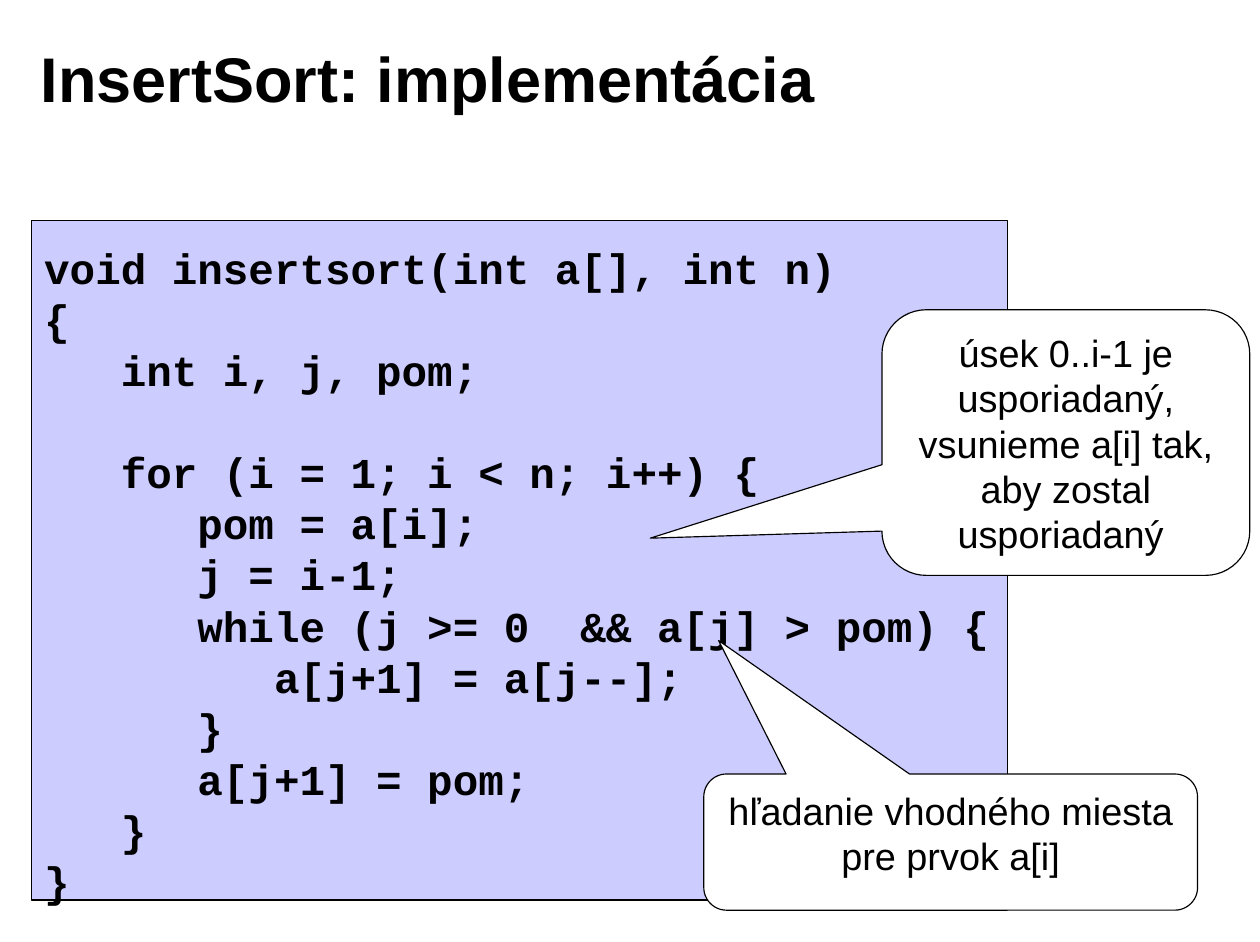
from dataclasses import dataclass

import pptx
import pptx.dml.color
import pptx.enum.shapes
import pptx.enum.text
import pptx.util
from pptx.util import Inches

BLACK = "000000"
WHITE = "FFFFFF"
LAVENDER = "CCCCFF"

CODE = """void insertsort(int a[], int n)
{
   int i, j, pom;

   for (i = 1; i < n; i++) {
      pom = a[i];
      j = i-1;
      while (j >= 0  && a[j] > pom) {
         a[j+1] = a[j--];
      }
      a[j+1] = pom;
   }
}"""


@dataclass
class Area:
    left: float
    top: float
    width: float
    height: float

    def lengths(self) -> tuple[int, ...]:
        return tuple(Inches(side) for side in (self.left, self.top, self.width, self.height))


@dataclass
class TextStyle:
    font: str
    size: int
    bold: bool = False
    align: pptx.enum.text.PP_ALIGN = pptx.enum.text.PP_ALIGN.LEFT
    anchor: pptx.enum.text.MSO_ANCHOR = pptx.enum.text.MSO_ANCHOR.TOP


@dataclass
class Callout:
    area: Area
    tip: tuple[float, float]
    text: str


TITLE_STYLE = TextStyle("Arial", 40, bold=True, anchor=pptx.enum.text.MSO_ANCHOR.MIDDLE)
CODE_STYLE = TextStyle("Courier New", 27, bold=True)
CALLOUT_STYLE = TextStyle("Arial", 24, align=pptx.enum.text.PP_ALIGN.CENTER)

CALLOUTS = [
    Callout(Area(7.77, 2.73, 3.24, 2.34), (-1.13, 0.36),
            "úsek 0..i-1 je usporiadaný, vsunieme a[i] tak, aby zostal usporiadaný "),
    Callout(Area(6.2, 6.82, 4.35, 1.2), (-0.47, -1.48),
            "hľadanie vhodného miesta pre prvok a[i]"),
]


def color(value: str) -> pptx.dml.color.RGBColor:
    return pptx.dml.color.RGBColor.from_string(value)


def write(shape, text: str, style: TextStyle) -> None:
    frame = shape.text_frame
    frame.word_wrap = True
    frame.margin_left = frame.margin_right = Inches(0.11)
    frame.margin_top = frame.margin_bottom = Inches(0.06)
    frame.vertical_anchor = style.anchor
    frame.text = text
    for para in frame.paragraphs:
        para.alignment = style.align
        para.font.name = style.font
        para.font.size = pptx.util.Pt(style.size)
        para.font.bold = style.bold
        para.font.color.rgb = color(BLACK)


def add_text(page, area: Area, text: str, style: TextStyle) -> None:
    write(page.shapes.add_textbox(*area.lengths()), text, style)


def add_outlined(page, kind: pptx.enum.shapes.MSO_SHAPE, area: Area, fill: str):
    shape = page.shapes.add_shape(kind, *area.lengths())
    shape.shadow.inherit = False
    shape.fill.solid()
    shape.fill.fore_color.rgb = color(fill)
    shape.line.color.rgb = color(BLACK)
    shape.line.width = pptx.util.Pt(0.75)
    return shape


def add_callout(page, callout: Callout) -> None:
    kind = pptx.enum.shapes.MSO_SHAPE.ROUNDED_RECTANGULAR_CALLOUT
    shape = add_outlined(page, kind, callout.area, WHITE)
    shape.adjustments[0], shape.adjustments[1] = callout.tip
    write(shape, callout.text, CALLOUT_STYLE)


def main() -> None:
    deck = pptx.Presentation()
    deck.slide_width = Inches(11.1)
    deck.slide_height = Inches(8.3)
    page = deck.slides.add_slide(deck.slide_layouts[6])
    add_text(page, Area(0.25, 0.17, 8.92, 1.02), "InsertSort: implementácia", TITLE_STYLE)
    add_outlined(page, pptx.enum.shapes.MSO_SHAPE.RECTANGLE, Area(0.28, 1.94, 8.6, 5.99), LAVENDER)
    add_text(page, Area(0.28, 2.07, 8.6, 5.97), CODE, CODE_STYLE)
    for callout in CALLOUTS:
        add_callout(page, callout)
    deck.save("out.pptx")


if __name__ == "__main__":
    main()
